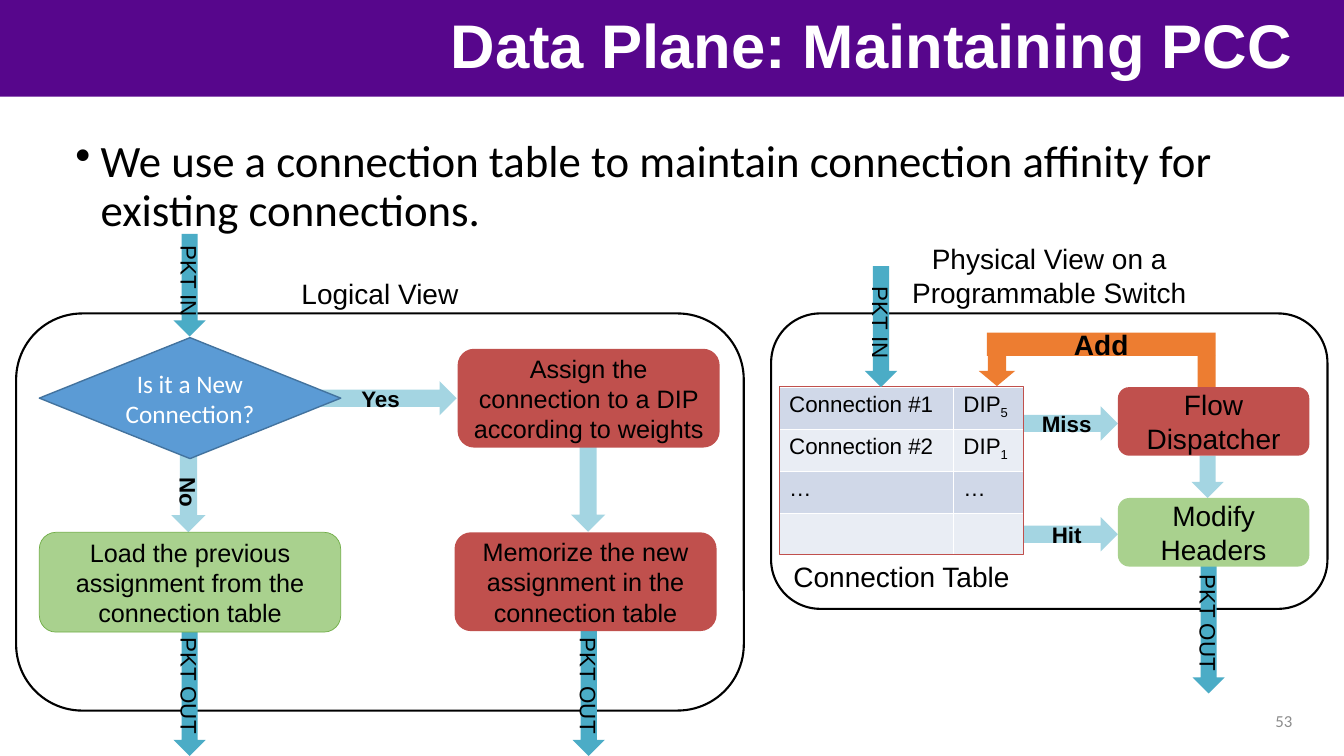
from dataclasses import dataclass
from typing import Optional

from lxml import etree
from pptx import Presentation
from pptx.dml.color import RGBColor
from pptx.enum import shapes, text
from pptx.oxml import ns
from pptx.util import Pt

PURPLE = RGBColor(0x57, 0x06, 0x8C)
WHITE = RGBColor(0xFF, 0xFF, 0xFF)
BLACK = RGBColor(0, 0, 0)
GRAY = RGBColor(0x8C, 0x8C, 0x8C)
TEAL = RGBColor(0x4B, 0xAC, 0xC6)
RED = RGBColor(0xC0, 0x50, 0x4D)
GREEN = RGBColor(0xA9, 0xD1, 0x8E)
GREEN_EDGE = RGBColor(0x70, 0xAD, 0x47)
BLUE = RGBColor(0x5B, 0x9B, 0xD5)
BLUE_EDGE = RGBColor(0x43, 0x73, 0x9E)
ORANGE = RGBColor(0xED, 0x7D, 0x31)
BANDS = (RGBColor(0xD0, 0xD8, 0xE8), RGBColor(0xE9, 0xED, 0xF4))

KIND = shapes.MSO_SHAPE
ALIGN = text.PP_ALIGN
MIDDLE = text.MSO_ANCHOR.MIDDLE
TOP = text.MSO_ANCHOR.TOP


@dataclass
class Style:
    size: float
    color: RGBColor = BLACK
    bold: bool = False
    face: str = "Arial"
    align: ALIGN = ALIGN.CENTER


@dataclass
class Block:
    left: float
    top: float
    width: float
    height: float
    kind: KIND = KIND.ROUNDED_RECTANGLE
    fill: Optional[RGBColor] = None
    edge: Optional[RGBColor] = None
    edge_width: float = 1
    label: str = ""
    style: Optional[Style] = None


@dataclass
class Arrow:
    x: float
    y: float
    length: float
    thickness: float
    label: str = ""
    down: bool = True
    color: RGBColor = TEAL
    faded: bool = False
    lead: float = 0


@dataclass
class Caption:
    left: float
    top: float
    width: float
    height: float
    label: str
    style: Style
    anchor: text.MSO_ANCHOR = TOP
    spacing: Optional[float] = None
    bullet: bool = False


def apply_style(paragraph, style: Style) -> None:
    paragraph.alignment = style.align
    font = paragraph.font
    font.size, font.bold, font.name = Pt(style.size), style.bold, style.face
    font.color.rgb = style.color


def draw_block(slide, block: Block):
    shape = slide.shapes.add_shape(block.kind, Pt(block.left), Pt(block.top),
                                   Pt(block.width), Pt(block.height))
    shape.shadow.inherit = False
    if block.fill is None:
        shape.fill.background()
    else:
        shape.fill.solid()
        shape.fill.fore_color.rgb = block.fill
    if block.edge is None:
        shape.line.fill.background()
    else:
        shape.line.color.rgb = block.edge
        shape.line.width = Pt(block.edge_width)
    if block.label:
        frame = shape.text_frame
        frame.word_wrap = True
        frame.vertical_anchor = MIDDLE
        frame.text = block.label
        apply_style(frame.paragraphs[0], block.style)
    return shape


def draw_arrow(slide, arrow: Arrow) -> None:
    left, top = arrow.x, arrow.y
    if arrow.down:
        left -= arrow.length / 2
        top += (arrow.length - arrow.thickness) / 2
    shape = draw_block(slide, Block(
        left, top, arrow.length, arrow.thickness, KIND.RIGHT_ARROW, arrow.color,
        label=arrow.label, style=Style(16, bold=arrow.faded)))
    shape.rotation = 90 if arrow.down else 0
    frame = shape.text_frame
    frame.margin_left, frame.margin_right = Pt(arrow.lead), Pt(0)
    if arrow.faded:
        color = shape.fill._xPr.find(".//" + ns.qn("a:srgbClr"))
        etree.SubElement(color, ns.qn("a:alpha"), val="50000")


def draw_caption(slide, caption: Caption) -> None:
    box = slide.shapes.add_textbox(Pt(caption.left), Pt(caption.top),
                                   Pt(caption.width), Pt(caption.height))
    frame = box.text_frame
    frame.word_wrap = True
    frame.vertical_anchor = caption.anchor
    frame.text = caption.label
    for paragraph in frame.paragraphs:
        if caption.spacing:
            paragraph.line_spacing = caption.spacing
        if caption.bullet:
            properties = paragraph._p.get_or_add_pPr()
            properties.set("marL", str(Pt(18)))
            properties.set("indent", str(-Pt(18)))
            etree.SubElement(properties, ns.qn("a:buChar"), char="•")
        apply_style(paragraph, caption.style)


def draw_connection_table(slide) -> None:
    rows = (("Connection #1", "DIP", "5"), ("Connection #2", "DIP", "1"),
            ("…", "…", ""), ("", "", ""))
    widths, row_height = (124.5, 50.4), 30.1
    table = slide.shapes.add_table(len(rows), len(widths), Pt(556.5), Pt(276.5),
                                   Pt(sum(widths)), Pt(row_height * len(rows))).table
    for column, width in zip(table.columns, widths):
        column.width = Pt(width)
    for r, (connection, address, index) in enumerate(rows):
        table.rows[r].height = Pt(row_height)
        for c, label in enumerate((connection, address)):
            cell = table.cell(r, c)
            properties = cell._tc.get_or_add_tcPr()
            for side in ("lnL", "lnR", "lnT", "lnB"):
                line = etree.SubElement(properties, ns.qn("a:" + side), w=str(Pt(1)))
                solid = etree.SubElement(line, ns.qn("a:solidFill"))
                etree.SubElement(solid, ns.qn("a:srgbClr"), val=str(WHITE))
            cell.fill.solid()
            cell.fill.fore_color.rgb = BANDS[r % 2]
            paragraph = cell.text_frame.paragraphs[0]
            if label:
                paragraph.add_run().text = label
            if c == 1 and index:
                subscript = paragraph.add_run()
                subscript.text = index
                subscript._r.get_or_add_rPr().set("baseline", "-25000")
            apply_style(paragraph, Style(16, align=ALIGN.LEFT))


TITLE = Style(44, WHITE, True, align=ALIGN.RIGHT)
BODY = Style(32, face="Calibri", align=ALIGN.LEFT)
NUMBER = Style(12, GRAY, face="Calibri", align=ALIGN.RIGHT)
VIEW, STEP = Style(20), Style(18)

PANELS = (
    Block(0, 0, 960, 69.1, KIND.RECTANGLE, PURPLE),
    Block(556.5, 275.8, 174.9, 120.2, KIND.RECTANGLE, None, RED, 0.75),
    Block(550.8, 223.9, 397.4, 211, edge=BLACK, edge_width=1.5),
    Block(11.5, 223.9, 519.8, 283.7, edge=BLACK, edge_width=1.5),
)
CAPTIONS = (
    Caption(46.8, 95.8, 827.3, 115.2, "We use a connection table to maintain connection "
            "affinity for existing connections.", BODY, spacing=0.9, bullet=True),
    Caption(139.7, 5.8, 791.3, 57.6, "Data Plane: Maintaining PCC", TITLE, MIDDLE, 0.9),
    Caption(714.2, 500.4, 216, 28.8, "53", NUMBER, MIDDLE),
    Caption(556.5, 396, 175, 31.7, "Connection Table", VIEW),
    Caption(550.8, 169.2, 397.4, 55.4, "Physical View on a\nProgrammable Switch", VIEW),
    Caption(11.5, 193.7, 519.8, 31.7, "Logical View", VIEW),
)
ARROWS = (
    Arrow(629.3, 190.1, 86.4, 23, "PKT IN"),
    Arrow(135.4, 167, 73.4, 23, "PKT IN"),
    Arrow(135.4, 445, 95, 23, "PKT OUT"),
    Arrow(420.5, 445, 95, 23, "PKT OUT"),
    Arrow(863.3, 400.3, 95, 23, "PKT OUT"),
    Arrow(731.5, 369.4, 67, 24.5, "Hit", down=False, faded=True),
    Arrow(731.5, 290.2, 67, 24.5, "Miss", down=False, faded=True),
    Arrow(214.6, 272.2, 111.6, 24.5, "Yes", down=False, faded=True, lead=9),
    Arrow(134.6, 319.7, 60.5, 24.5, "No", faded=True, lead=9),
    Arrow(420.1, 315.7, 64.1, 24.5, faded=True),
    Arrow(862.6, 325.5, 30.2, 23, faded=True),
    Arrow(712.1, 254.2, 21.6, 25.9, color=ORANGE),
)
STEPS = (
    Block(704.9, 237.6, 163.4, 16.6, KIND.RECTANGLE, ORANGE, label="Add",
          style=Style(20, bold=True)),
    Block(855.4, 254.2, 12.9, 22.3, KIND.RECTANGLE, ORANGE),
    Block(798.5, 276.5, 136.8, 49, fill=RED, label="Flow Dispatcher", style=VIEW),
    Block(798.5, 355.7, 136.8, 49, fill=GREEN, label="Modify Headers", style=VIEW),
    Block(28.1, 380.2, 215.3, 71.3, fill=GREEN, edge=GREEN_EDGE, edge_width=0.5,
          label="Load the previous assignment from the connection table", style=STEP),
    Block(326.9, 249.1, 187.2, 70.6, fill=RED,
          label="Assign the connection to a DIP according to weights", style=STEP),
    Block(324.7, 380.2, 187.2, 70.6, fill=RED,
          label="Memorize the new assignment in the connection table", style=STEP),
    Block(28.1, 241.2, 215.3, 86.4, KIND.FLOWCHART_DECISION, BLUE, BLUE_EDGE,
          label="Is it a New Connection?", style=Style(18, WHITE, face="Calibri")),
)


def main() -> None:
    deck = Presentation()
    deck.slide_width, deck.slide_height = Pt(960), Pt(540)
    slide = deck.slides.add_slide(deck.slide_layouts[6])
    draw_connection_table(slide)
    for draw, items in ((draw_block, PANELS), (draw_caption, CAPTIONS),
                        (draw_arrow, ARROWS), (draw_block, STEPS)):
        for item in items:
            draw(slide, item)
    deck.save("out.pptx")


if __name__ == "__main__":
    main()
